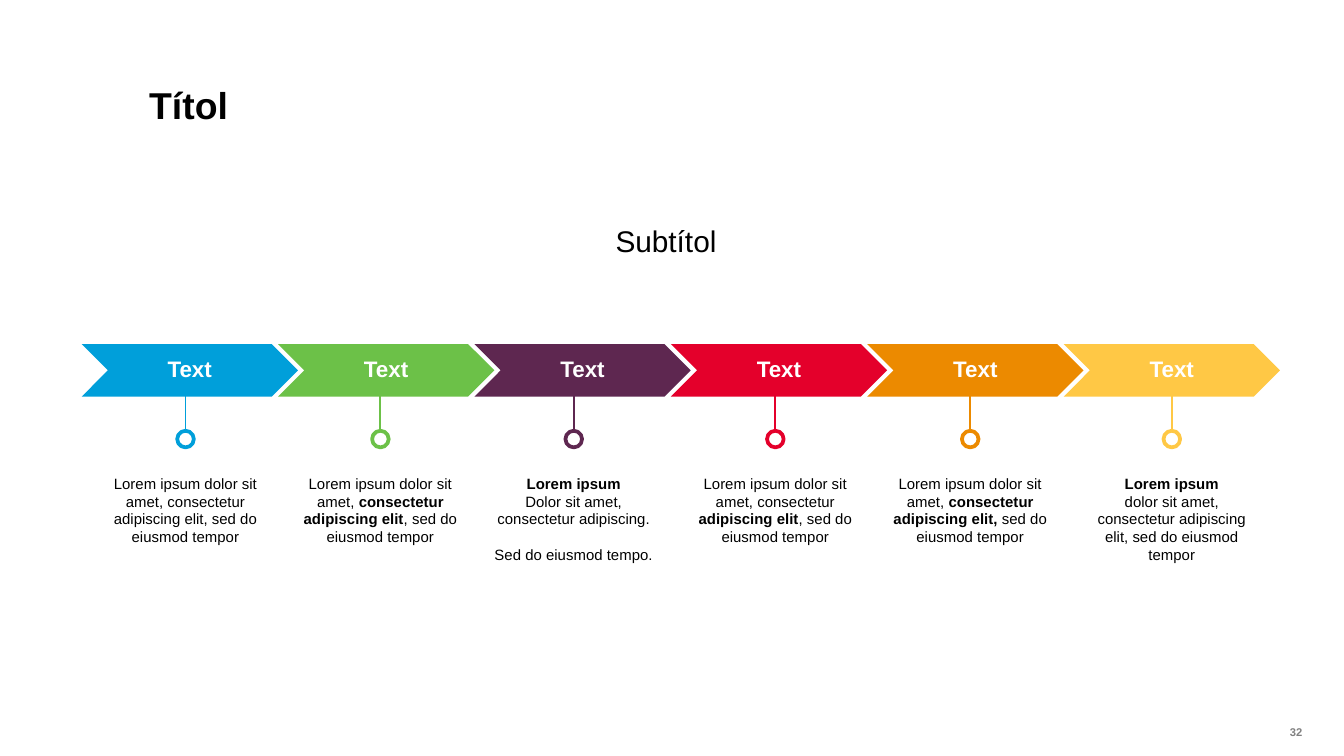
from pptx import Presentation
from pptx.dml.color import RGBColor
from pptx.enum.shapes import MSO_CONNECTOR as Connector, MSO_SHAPE as Shape
from pptx.enum.text import MSO_ANCHOR as Anchor, MSO_AUTO_SIZE as AutoSize, PP_ALIGN as Align
from pptx.oxml.ns import qn
from pptx.util import Pt

COLORS = {
    "white": "FFFFFF", "black": "000000", "gray": "808080",
    "blue": "009FDA", "green": "6CC148", "purple": "5E2750",
    "red": "E4002B", "orange": "EC8A00", "yellow": "FFC845",
}

STEPS = [
    ("blue", 56.2, [[("Lorem ipsum dolor sit amet, consectetur adipiscing elit, sed do eiusmod tempor", False)]]),
    ("green", 160.6, [[("Lorem ipsum dolor sit amet, ", False),
                       ("consectetur adipiscing elit", True),
                       (", sed do eiusmod tempor", False)]]),
    ("purple", 264.2, [[("Lorem ipsum", True)],
                       [("Dolor sit amet, consectetur adipiscing.", False)],
                       [("Sed do eiusmod tempo.", False)]]),
    ("red", 372.2, [[("Lorem ipsum dolor sit amet, consectetur ", False),
                     ("adipiscing elit", True),
                     (", sed do eiusmod tempor", False)]]),
    ("orange", 476.6, [[("Lorem ipsum dolor sit amet, ", False),
                        ("consectetur adipiscing elit, ", True),
                        ("sed do eiusmod tempor", False)]]),
    ("yellow", 584.6, [[("Lorem ipsum", True)],
                       [("dolor sit amet, consectetur adipiscing elit, sed do eiusmod tempor", False)]]),
]


def rgb(name):
    return RGBColor.from_string(COLORS[name])


def set_frame(shape, margins=(0, 0, 0, 0), anchor=Anchor.TOP):
    frame = shape.text_frame
    frame.word_wrap = True
    frame.auto_size = AutoSize.NONE
    frame.vertical_anchor = anchor
    frame.margin_left, frame.margin_top, frame.margin_right, frame.margin_bottom = map(Pt, margins)
    return frame


def style(para, size, color, align, bold=None, spacing=None):
    para.alignment = align
    para.line_spacing = spacing
    para.font.name = "Arial"
    para.font.size = Pt(size)
    para.font.bold = bold
    para.font.color.rgb = rgb(color)


def add_text_box(page, box):
    return page.shapes.add_textbox(*map(Pt, box))


def add_shape(page, kind, box, fill):
    shape = page.shapes.add_shape(kind, *map(Pt, box))
    shape.shadow.inherit = False
    shape.fill.solid()
    shape.fill.fore_color.rgb = rgb(fill)
    return shape


def add_heading(page, box):
    left, top, width, height = box
    title = page.shapes.title
    title.left, title.top, title.width, title.height = map(Pt, (left, top, width, 31.7))
    subtitle = add_text_box(page, (left, top + 74.9, width, 25.2))
    for shape, text, size, align, bold in (
        (title, "Títol", 20, Align.LEFT, True),
        (subtitle, "Subtítol", 16, Align.CENTER, False),
    ):
        frame = set_frame(shape, (0, 3.6, 7.2, 3.6))
        frame.text = text
        style(frame.paragraphs[0], size, "black", align, bold, 0.9)


def add_chevron(page, box, color):
    chevron = add_shape(page, Shape.CHEVRON, box, color)
    chevron.line.fill.background()
    frame = set_frame(chevron, (2.9, 2.9, 2.9, 2.9), Anchor.MIDDLE)
    frame.text = "Text"
    style(frame.paragraphs[0], 12, "white", Align.CENTER, True, 0.9)


def add_pin(page, box, color):
    left, top, width, height = box
    center = left + width / 2
    stem = page.shapes.add_connector(
        Connector.STRAIGHT, Pt(center), Pt(top + height - width / 2), Pt(center), Pt(top))
    stem.line.color.rgb = rgb(color)
    stem.line.width = Pt(1)
    properties = stem._element.spPr
    properties.append(properties.makeelement(qn("a:effectLst"), {}))
    ring = add_shape(page, Shape.OVAL, (left, top + height - width, width, width), "white")
    ring.line.color.rgb = rgb(color)
    ring.line.width = Pt(2)


def add_caption(page, box, lines):
    frame = set_frame(add_text_box(page, box))
    for index, line in enumerate(lines):
        para = frame.add_paragraph() if index else frame.paragraphs[0]
        style(para, 8, "black", Align.CENTER)
        if index == 2:
            para.space_before = Pt(9.4)
        for text, bold in line:
            span = para.add_run()
            span.text = text
            span.font.bold = bold


def add_process(page, box):
    left, top, width, height = box
    chevron_width, ring = 115.9, 8.9
    pitch = (width - chevron_width) / (len(STEPS) - 1)
    caption_width, caption_top = 86.4, top + 69.8
    for index, (color, caption_left, lines) in enumerate(STEPS):
        add_chevron(page, (left + index * pitch, top, chevron_width, 28.2), color)
        center = caption_left + caption_width / 2
        add_pin(page, (center - ring / 2, top + 23, ring, 32.4), color)
        add_caption(page, (caption_left, caption_top, caption_width, top + height - caption_top), lines)


def add_page_number(page, box):
    frame = set_frame(add_text_box(page, box))
    frame.text = "32"
    style(frame.paragraphs[0], 6, "gray", Align.RIGHT, True)


def main():
    deck = Presentation()
    deck.slide_width, deck.slide_height = Pt(720), Pt(405)
    page = deck.slides.add_slide(deck.slide_layouts[5])
    add_heading(page, (79.9, 43.2, 560.9, 100.1))
    add_process(page, (43.7, 184.3, 642, 124.6))
    add_page_number(page, (655.9, 388.8, 41.8, 7.2))
    deck.save("out.pptx")


if __name__ == "__main__":
    main()
